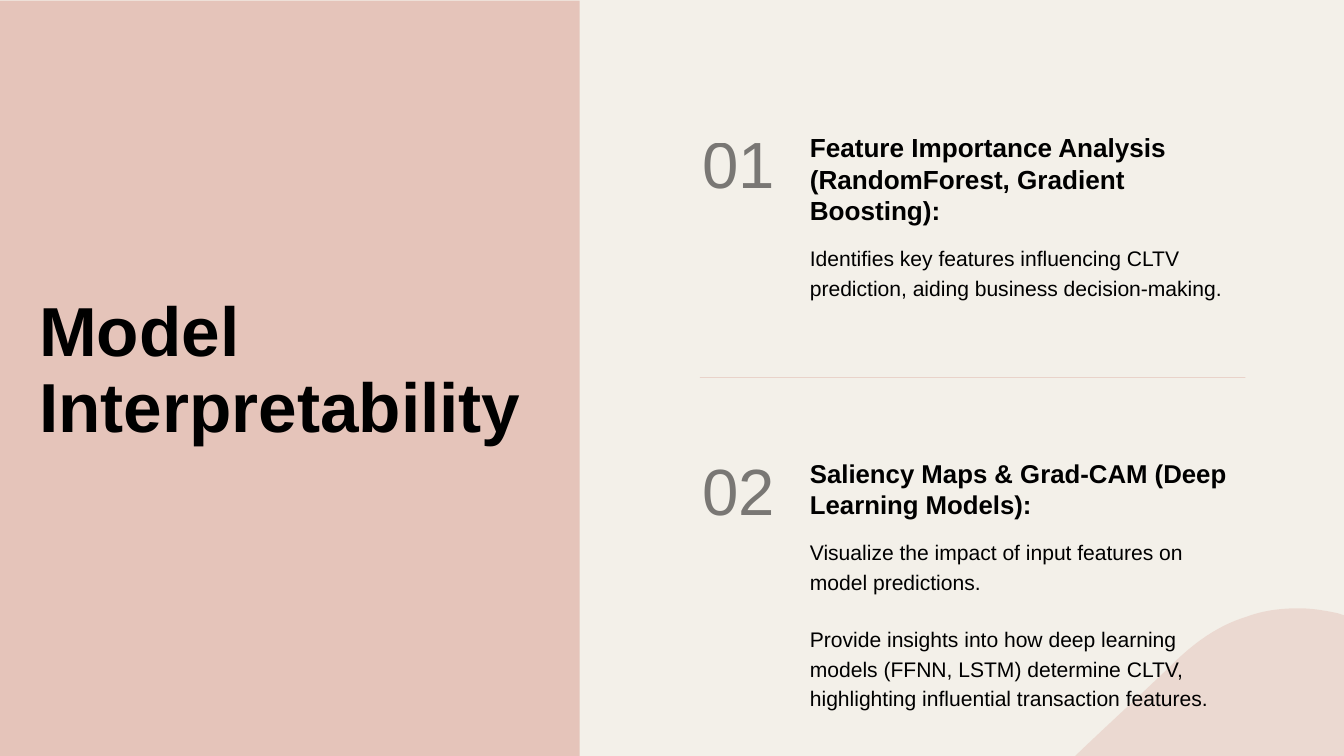
from pptx import Presentation
from pptx.dml.color import RGBColor
from pptx.enum.shapes import MSO_SHAPE
from pptx.enum.text import MSO_AUTO_SIZE, PP_ALIGN
from pptx.oxml.ns import qn
from pptx.util import Pt

PX = 9525
RECTANGLE = MSO_SHAPE.RECTANGLE
GROW = MSO_AUTO_SIZE.SHAPE_TO_FIT_TEXT
LEFT, RIGHT = PP_ALIGN.LEFT, PP_ALIGN.RIGHT
COLORS = {"cream": "F3F0E9", "blush": "E5C4BA", "ink": "000000"}
FONT = "Arial"
HEADING_LINE = 46
HEADING_GAP = 19

SECTIONS = [
    {
        "box": (960, 186, 819, 242),
        "number": "01",
        "heading": "Feature Importance Analysis (RandomForest, Gradient Boosting):",
        "heading_lines": 3,
        "heading_size": 28,
        "body": ["Identifies key features influencing CLTV prediction, "
                 "aiding business decision-making."],
    },
    {
        "box": (960, 652, 819, 364),
        "number": "02",
        "heading": "Saliency Maps & Grad-CAM (Deep Learning Models):",
        "heading_lines": 2,
        "heading_size": 27.6,
        "body": ["Visualize the impact of input features on model predictions.",
                 "Provide insights into how deep learning models (FFNN, LSTM) "
                 "determine CLTV, highlighting influential transaction features."],
    },
]


def color(name):
    """Return the named colour as RGB."""
    return RGBColor.from_string(COLORS[name])


def set_opacity(element, percent):
    """Give every solid colour inside the element an opacity."""
    for solid in element.iter(qn("a:srgbClr")):
        alpha = solid.makeelement(qn("a:alpha"), {"val": str(percent * 1000)})
        solid.append(alpha)


def paint(shape, fill):
    """Fill a shape flatly, without outline or shadow."""
    shape.shadow.inherit = False
    shape.fill.solid()
    shape.fill.fore_color.rgb = color(fill)
    shape.line.fill.background()


def add_text(slide, box, paragraphs, size, leading, bold=False, align=LEFT,
             opacity=100, gap=0):
    """Place paragraphs in a wrapping box without margins."""
    frame = slide.shapes.add_textbox(*(n * PX for n in box)).text_frame
    frame.word_wrap = True
    frame.auto_size = GROW
    frame.margin_left = frame.margin_right = 0
    frame.margin_top = frame.margin_bottom = 0
    for index, text in enumerate(paragraphs):
        paragraph = frame.add_paragraph() if index else frame.paragraphs[0]
        paragraph.alignment = align
        paragraph.line_spacing = Pt(leading)
        paragraph.space_before = Pt(gap if index else 0)
        run = paragraph.add_run()
        run.text = text
        run.font.name = FONT
        run.font.size = Pt(size)
        run.font.bold = bold
        run.font.color.rgb = color("ink")
        if opacity < 100:
            set_opacity(run._r, opacity)


def add_block(slide, box):
    """Draw a blush rectangle."""
    block = slide.shapes.add_shape(RECTANGLE, *(n * PX for n in box))
    paint(block, "blush")


def bezier(start, first, second, end, steps=24):
    """Return points along a cubic curve, leaving out its start."""
    points = []
    for step in range(1, steps + 1):
        t = step / steps
        u = 1 - t
        points.append(tuple(
            u**3 * a + 3 * u * u * t * b + 3 * u * t * t * c + t**3 * d
            for a, b, c, d in zip(start, first, second, end)))
    return points


def add_wave(slide, box):
    """Draw the translucent wave in the corner box."""
    left, top, width, height = box
    crest = (319, 0)
    outline = bezier(crest, (338, 0), (356, 3), (375, 7))
    outline += [(width, 10), (width, height), (0, height), (2, 209)]
    outline += bezier((2, 209), (51, 162), (102, 116), (147, 72))
    outline += bezier((147, 72), (180, 41), (212, 22), (245, 12))
    outline += bezier((245, 12), (269, 3), (294, 0), crest)
    start, *rest = [((left + x) * PX, (top + y) * PX) for x, y in [crest] + outline]
    builder = slide.shapes.build_freeform(*start, scale=1.0)
    builder.add_line_segments(rest, close=True)
    wave = builder.convert_to_shape()
    paint(wave, "blush")
    set_opacity(wave._element.spPr, 50)


def add_title_panel(slide, box):
    """Draw the side panel and its title."""
    left, top, width, height = box
    add_block(slide, box)
    add_text(slide, (left + 56, top + 419, width - 111, 234),
             ["Model Interpretability"], size=74.3, leading=81.7, bold=True)


def add_section(slide, box, number, heading, heading_lines, heading_size, body):
    """Place a numbered heading with its body text."""
    left, top, width, height = box
    text_left, text_width = left + 197, width - 197
    heading_top = top + 2
    heading_height = heading_lines * HEADING_LINE
    body_top = heading_top + heading_height + HEADING_GAP
    add_text(slide, (left, top, 147, 118), [number], size=70, leading=77,
             align=RIGHT, opacity=50)
    add_text(slide, (text_left, heading_top, text_width, heading_height), [heading],
             size=heading_size, leading=heading_size * 1.2, bold=True)
    add_text(slide, (text_left, body_top, text_width, top + height - body_top), body,
             size=22.6, leading=31.6, gap=30.2)


def main():
    """Build and save the slide."""
    deck = Presentation()
    deck.slide_width, deck.slide_height = 1920 * PX, 1080 * PX
    slide = deck.slides.add_slide(deck.slide_layouts[6])
    slide.background.fill.solid()
    slide.background.fill.fore_color.rgb = color("cream")
    add_wave(slide, (1536, 869, 384, 211))
    add_block(slide, (1000, 539, 779, 1))
    add_title_panel(slide, (0, 1, 828, 1080))
    for section in SECTIONS:
        add_section(slide, **section)
    deck.save("out.pptx")


if __name__ == "__main__":
    main()
